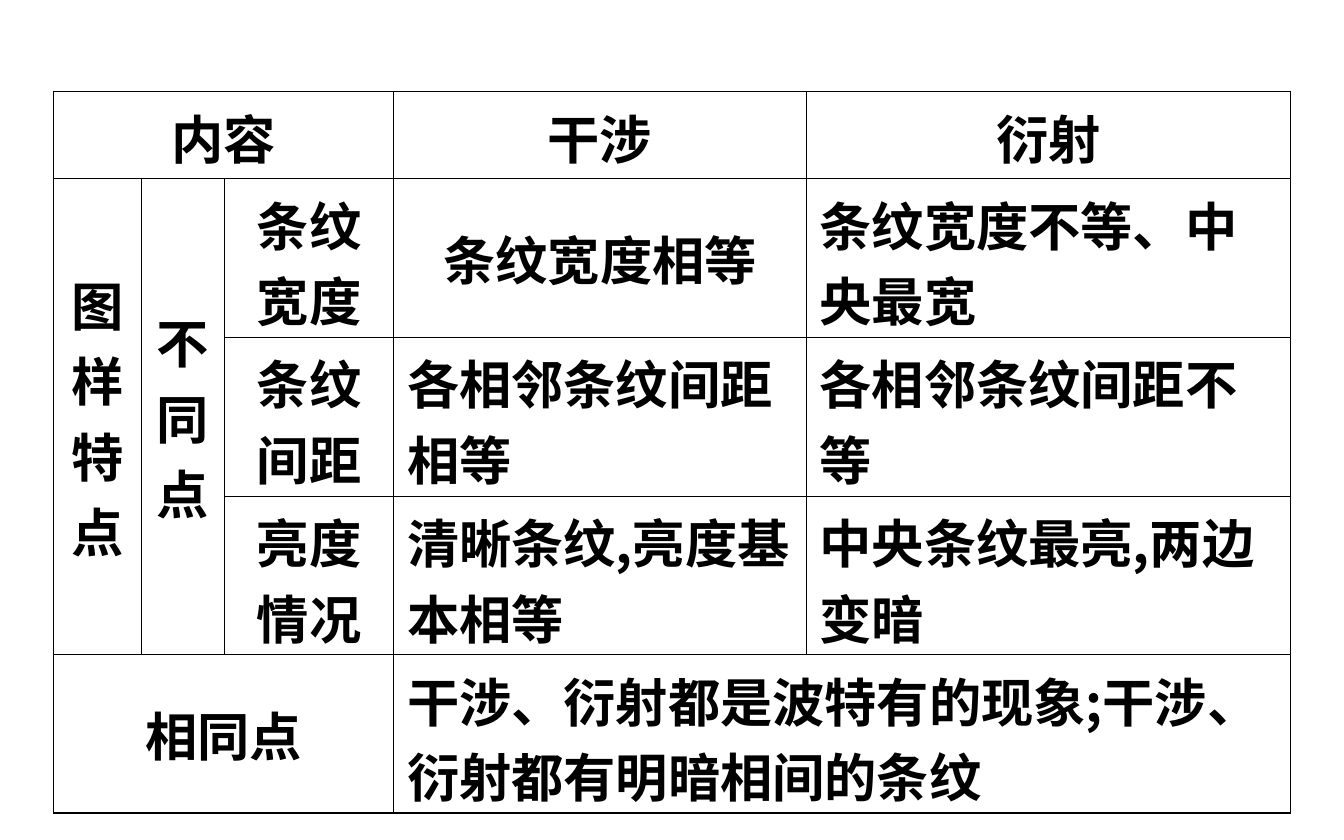
from dataclasses import dataclass

from lxml import etree
from pptx import Presentation
from pptx.dml.color import RGBColor
from pptx.enum.text import MSO_ANCHOR, PP_ALIGN
from pptx.oxml.ns import qn
from pptx.table import Table, _Cell
from pptx.util import Inches, Pt

MIDDLE = MSO_ANCHOR.MIDDLE
CENTER, LEFT = PP_ALIGN.CENTER, PP_ALIGN.LEFT
FONT = "Noto Sans CJK SC"
COLORS = {"ink": "000000"}
PLAIN = "{2D5ABB26-0587-4C30-8999-92F81FD0307C}"
COLS = [0.65, 0.62, 1.26, 3.07, 3.6]
ROWS = [0.65] + [1.18] * 4
OUTER, INNER = Pt(0.75), Pt(0.45)
HEAD, FULL, LOOSE = 0.03, 0, 0.05  # bottom margins: heading, two lines, spare room


@dataclass
class Entry:
    row: int
    col: int
    text: str
    align: PP_ALIGN = CENTER
    rows: int = 1
    cols: int = 1
    foot: float = LOOSE


ENTRIES = [
    Entry(0, 0, "内容", cols=3, foot=HEAD),
    Entry(0, 3, "干涉", foot=HEAD),
    Entry(0, 4, "衍射", foot=HEAD),
    Entry(1, 0, "图样特点", rows=3),
    Entry(1, 1, "不同点", rows=3),
    Entry(1, 2, "条纹\n宽度", foot=FULL),
    Entry(1, 3, "条纹宽度相等"),
    Entry(1, 4, "条纹宽度不等、中央最宽", LEFT, foot=FULL),
    Entry(2, 2, "条纹\n间距", foot=FULL),
    Entry(2, 3, "各相邻条纹间距相等", LEFT, foot=FULL),
    Entry(2, 4, "各相邻条纹间距不等", LEFT, foot=FULL),
    Entry(3, 2, "亮度\n情况", foot=FULL),
    Entry(3, 3, "清晰条纹,亮度基本相等", LEFT, foot=FULL),
    Entry(3, 4, "中央条纹最亮,两边变暗", LEFT, foot=FULL),
    Entry(4, 0, "相同点", cols=3),
    Entry(4, 3, "干涉、衍射都是波特有的现象;干涉、衍射都有明暗相间的条纹", LEFT,
          cols=2, foot=FULL),
]


def add_edges(cell: _Cell, entry: Entry) -> None:
    """Rule all four sides, heavier along the rim of the table."""
    rims = {
        "a:lnL": entry.col == 0,
        "a:lnR": entry.col + entry.cols == len(COLS),
        "a:lnT": entry.row == 0,
        "a:lnB": entry.row + entry.rows == len(ROWS),
    }
    props = cell._tc.get_or_add_tcPr()
    for tag, rim in rims.items():
        line = etree.SubElement(props, qn(tag), w=str(OUTER if rim else INNER))
        fill = etree.SubElement(line, qn("a:solidFill"))
        etree.SubElement(fill, qn("a:srgbClr"), val=COLORS["ink"])


def fill_cell(table: Table, entry: Entry) -> None:
    cell = table.cell(entry.row, entry.col)
    if entry.rows * entry.cols > 1:
        cell.merge(table.cell(entry.row + entry.rows - 1, entry.col + entry.cols - 1))
    add_edges(cell, entry)
    cell.fill.background()
    cell.vertical_anchor = MIDDLE
    cell.margin_bottom = Inches(entry.foot)
    cell.text_frame.text = entry.text
    for para in cell.text_frame.paragraphs:
        para.alignment = entry.align
        para._p.get_or_add_pPr().set("hangingPunct", "0")
        for run in para.runs:
            font = run.font
            font.name, font.size, font.bold = FONT, Pt(28), True
            font.color.rgb = RGBColor.from_string(COLORS["ink"])
            etree.SubElement(run._r.get_or_add_rPr(), qn("a:ea"), typeface=FONT)


def main() -> None:
    deck = Presentation()
    deck.slide_width, deck.slide_height = Inches(10), Inches(6.25)
    slide = deck.slides.add_slide(deck.slide_layouts[6])
    frame = slide.shapes.add_table(
        len(ROWS), len(COLS), Inches(0.4), Inches(0.68),
        Inches(sum(COLS)), Inches(sum(ROWS)),
    )
    table = frame.table
    table.first_row = table.horz_banding = False
    for style in frame.element.iter(qn("a:tableStyleId")):
        style.text = PLAIN
    for col, width in zip(table.columns, COLS):
        col.width = Inches(width)
    for row, height in zip(table.rows, ROWS):
        row.height = Inches(height)
    for entry in ENTRIES:
        fill_cell(table, entry)
    deck.save("out.pptx")


if __name__ == "__main__":
    main()
